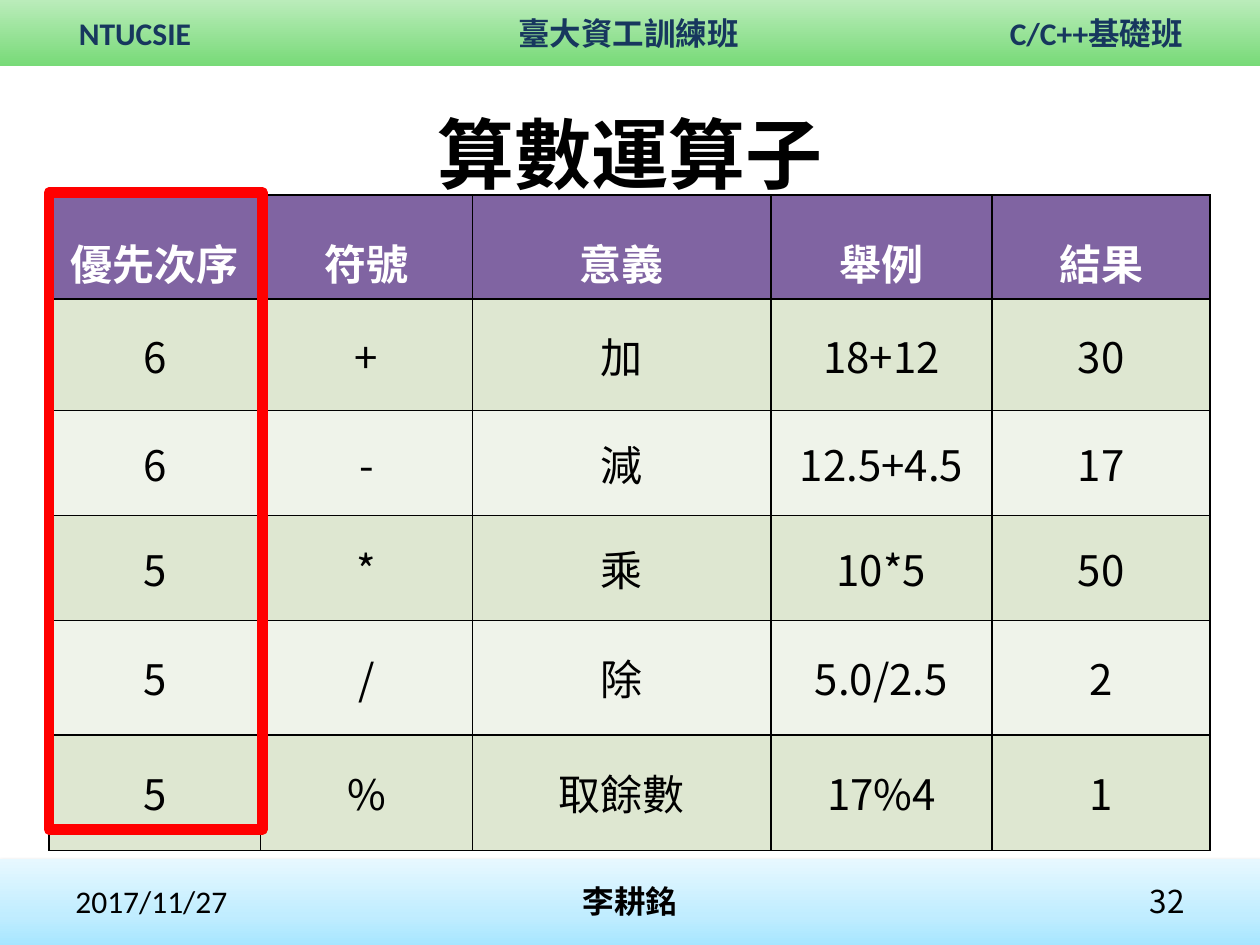
"""Build a slide with a table of arithmetic operators and their precedence."""
import dataclasses
import lxml.etree
import pptx
import pptx.dml.color
import pptx.enum.shapes
import pptx.enum.text
import pptx.oxml.ns
import pptx.util

Pt = pptx.util.Pt
RGB = pptx.dml.color.RGBColor.from_string
Anchor = pptx.enum.text.MSO_ANCHOR
Align = pptx.enum.text.PP_ALIGN
Shape = pptx.enum.shapes.MSO_SHAPE
qn = pptx.oxml.ns.qn


@dataclasses.dataclass(frozen=True)
class Theme:
    sans: str = "Noto Sans CJK SC"
    latin: str = "Calibri"
    black: str = "000000"
    white: str = "FFFFFF"
    navy: str = "17375E"
    purple: str = "8064A2"
    red: str = "FF0000"
    rows: tuple = ("EFF3EA", "DEE7D1")
    green: tuple = ((0, "78DA78"), (100, "BAECBA"))
    blue: tuple = ((0, "A7E6FF"), (35, "C1EDFF"), (100, "E7F8FF"))
    title: int = 44
    body: int = 24
    small: int = 18


theme = Theme()


def add(parent, tag, **attrs):
    node = lxml.etree.SubElement(parent, qn(tag))
    for name, value in attrs.items():
        node.set(name, str(value))
    return node


def write(frame, text, size=theme.small, font=theme.sans, color=theme.black,
          bold=False, align=Align.LEFT, anchor=Anchor.MIDDLE, space=None):
    frame.word_wrap = True
    frame.vertical_anchor = anchor
    para = frame.paragraphs[0]
    para.alignment = align
    para.line_spacing = space
    run = para.add_run()
    run.text = text
    run.font.size = Pt(size)
    run.font.name = font
    run.font.bold = bold
    run.font.color.rgb = RGB(color)
    add(run.font._element, "a:ea", typeface=theme.sans)


deck = pptx.Presentation()
deck.slide_width, deck.slide_height = Pt(720), Pt(540)
slide = deck.slides.add_slide(deck.slide_layouts[6])
shapes = slide.shapes

for top, height, stops, shade in ((491, 49, theme.blue, True),
                                  (0, 37.5, theme.green, False)):
    band = shapes.add_shape(Shape.RECTANGLE, 0, Pt(top), Pt(720), Pt(height))
    band.shadow.inherit = False
    band.line.fill.background()
    band.fill.gradient()
    band.fill.gradient_angle = 90
    props = band._element.spPr
    grad = props.find(".//" + qn("a:gsLst"))
    for stop in list(grad):
        grad.remove(stop)
    for place, color in stops:
        stop = add(grad, "a:gs", pos=place * 1000)
        add(stop, "a:srgbClr", val=color)
    if shade:
        glow = add(props.find(qn("a:effectLst")), "a:outerShdw", blurRad=Pt(3.1),
                   dist=Pt(1.6), dir=5400000, rotWithShape=0)
        add(add(glow, "a:srgbClr", val=theme.black), "a:alpha", val=38000)

head = dict(font=theme.latin, color=theme.navy, bold=True, anchor=Anchor.TOP)
labels = (
    ("NTUCSIE", 38, 4.5, 80, 29, head),
    ("臺大資工訓練班", 289, 4.5, 142, 29, head),
    ("C/C++基礎班", 570, 4.5, 114, 29, head),
    ("算數運算子", 36, 49, 648, 77,
     dict(size=theme.title, bold=True, align=Align.CENTER)),
    ("2017/11/27", 36, 500.5, 168, 29, dict(font=theme.latin)),
    ("李耕銘", 246, 500.5, 228, 29, dict(bold=True, align=Align.CENTER)),
    ("32", 516, 500.5, 168, 29, dict(align=Align.RIGHT)),
)
for text, left, top, width, height, form in labels:
    box = shapes.add_textbox(Pt(left), Pt(top), Pt(width), Pt(height))
    write(box.text_frame, text, **form)

data = (
    ("優先次序", "符號", "意義", "舉例", "結果"),
    ("6", "+", "加", "18+12", "30"),
    ("6", "-", "減", "12.5+4.5", "17"),
    ("5", "*", "乘", "10*5", "50"),
    ("5", "/", "除", "5.0/2.5", "2"),
    ("5", "%", "取餘數", "17%4", "1"),
)
widths = (121, 121, 170.5, 126.5, 124.5)
heights = (59.5, 63.5, 60, 60, 65.5, 66)
table = shapes.add_table(len(data), len(widths), Pt(28), Pt(111.5),
                         Pt(sum(widths)), Pt(sum(heights))).table
for col, width in zip(table.columns, widths):
    col.width = Pt(width)
for row, height in zip(table.rows, heights):
    row.height = Pt(height)

for r, line in enumerate(data):
    if r == 0:
        fill = theme.purple
        form = dict(color=theme.white, bold=True, anchor=Anchor.TOP, space=1.5)
    else:
        fill, form = theme.rows[r % 2], {}
    for c, text in enumerate(line):
        cell = table.cell(r, c)
        write(cell.text_frame, text, size=theme.body, align=Align.CENTER, **form)
        cell.vertical_anchor = form.get("anchor", Anchor.MIDDLE)
        props = cell._tc.get_or_add_tcPr()
        for side in "LRTB":
            edge = add(props, "a:ln" + side, w=Pt(1))
            add(add(edge, "a:solidFill"), "a:srgbClr", val=theme.black)
        cell.fill.solid()
        cell.fill.fore_color.rgb = RGB(fill)

frame = shapes.add_shape(Shape.RECTANGLE, Pt(28), Pt(110), Pt(122), Pt(364))
frame.shadow.inherit = False
frame.fill.background()
frame.line.color.rgb = RGB(theme.red)
frame.line.width = Pt(6)

deck.save("out.pptx")
